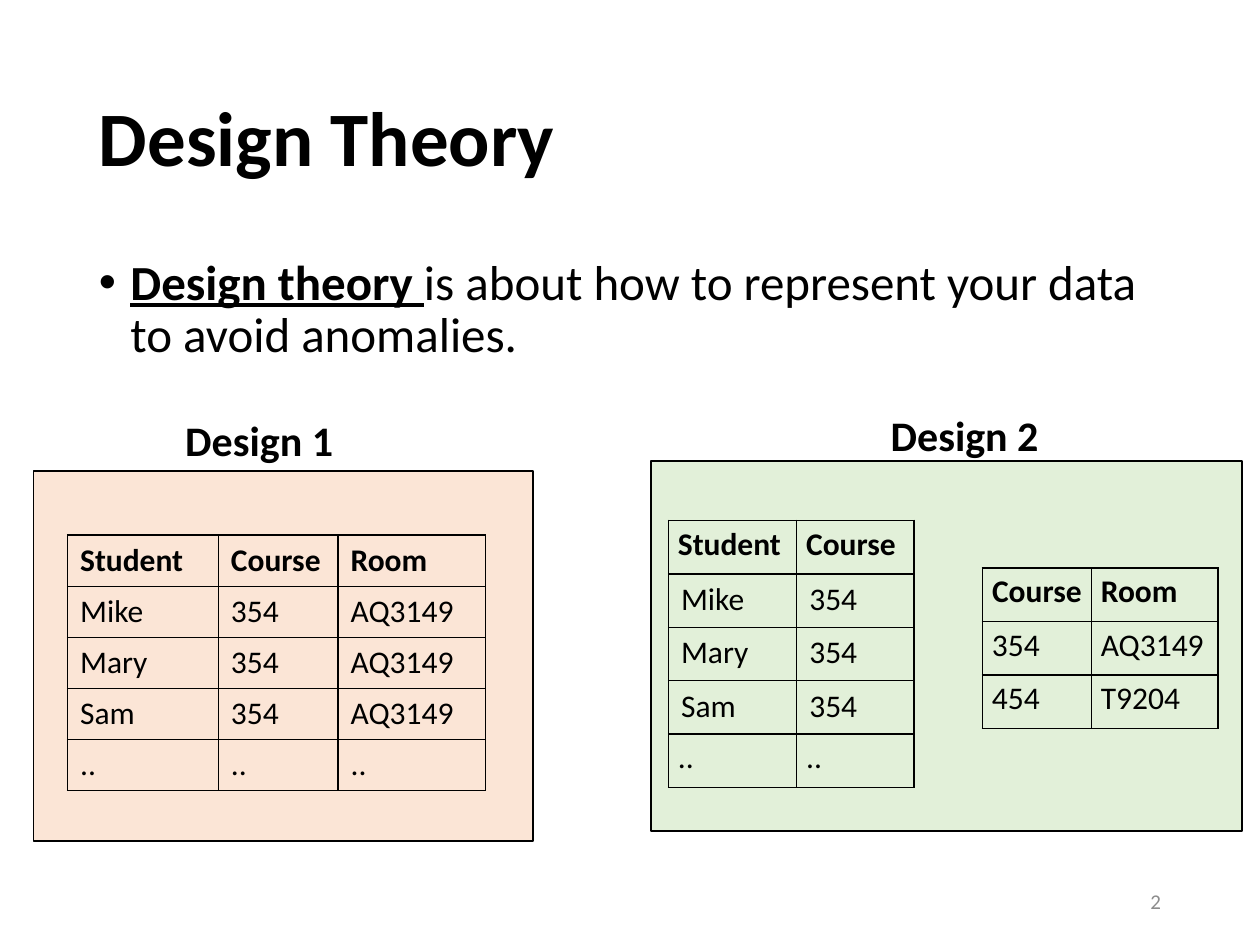
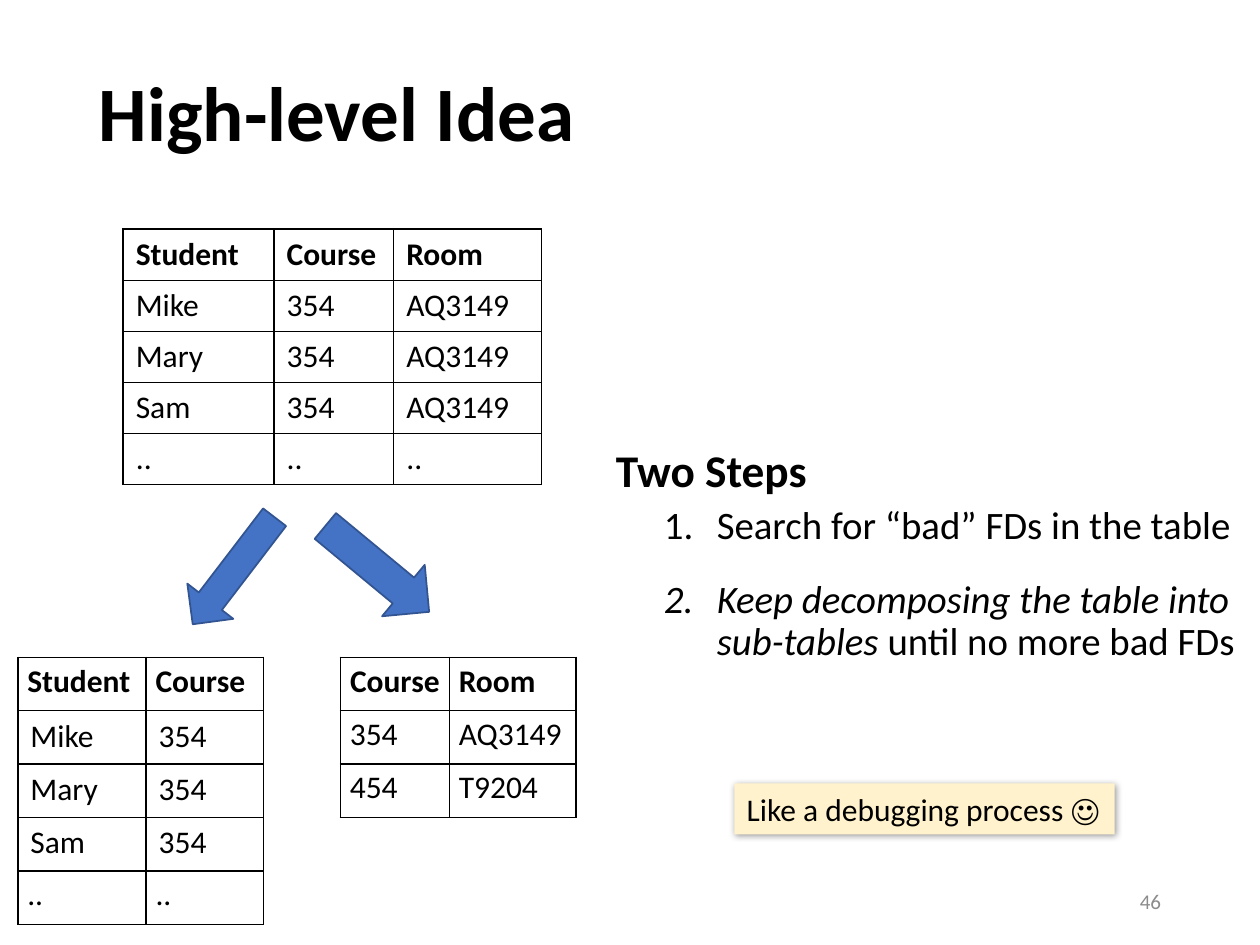
from dataclasses import dataclass, field
from typing import NamedTuple

from lxml import etree
from pptx import Presentation
from pptx.dml.color import RGBColor
from pptx.enum.shapes import MSO_SHAPE
from pptx.enum.text import MSO_ANCHOR, PP_ALIGN
from pptx.oxml import parse_xml
from pptx.oxml.ns import nsdecls, qn
from pptx.util import Pt

RECTANGLE, RIGHT_ARROW = MSO_SHAPE.RECTANGLE, MSO_SHAPE.RIGHT_ARROW
TOP, MIDDLE = MSO_ANCHOR.TOP, MSO_ANCHOR.MIDDLE
LEFT, CENTER, RIGHT = PP_ALIGN.LEFT, PP_ALIGN.CENTER, PP_ALIGN.RIGHT

COLORS = {
    "text": "000000",
    "number": "8C8C8C",
    "design1": "FBE5D6",
    "design2": "E2F0D9",
    "arrow": "4472C4",
    "arrow_edge": "325491",
    "note": "FFF2CC",
}
FONT = "Calibri"
BOLD = {"bold": True}
ITALIC = {"italic": True}
TIGHT_MARGINS = {"margin_left": 5.4, "margin_right": 5.4,
                 "margin_top": 2.7, "margin_bottom": 2.7}


class Box(NamedTuple):
    left: float
    top: float
    width: float
    height: float

    def lengths(self) -> list:
        return [Pt(value) for value in self]


class Span(NamedTuple):
    text: str
    style: dict = {}


@dataclass
class Para:
    spans: list[Span]
    size: float
    color: str = "text"
    align: object = LEFT
    spacing: float = 1.0
    before: float = 0
    level: int = 0
    margin: float = 0
    hanging: float = 0
    bullet: str = ""


@dataclass
class Relation:
    columns: list[float]
    row_height: float
    rows: list[list[str]]
    tight_rows: set[int] = field(default_factory=set)
    centered: set[tuple[int, int]] = field(default_factory=set)


@dataclass
class Block:
    box: Box
    fill: str
    edge: str = ""
    kind: object = RECTANGLE
    rotation: float = 0


# The relation before and after decomposition
FULL = Relation(
    [86.2, 68.4, 84.4], 29.2,
    [["Student", "Course", "Room"]]
    + [[name, "354", "AQ3149"] for name in ("Mike", "Mary", "Sam")]
    + [[".."] * 3])
ENROLMENT = Relation(
    [73.3, 67.1], 30.55,
    [["Student", "Course"]]
    + [[name, "354"] for name in ("Mike", "Mary", "Sam")]
    + [[".."] * 2],
    tight_rows={0, 4})
LOCATION = Relation(
    [62.3, 72.3], 30.55,
    [["Course", "Room"], ["354", "AQ3149"], ["454", "T9204"]],
    tight_rows={0, 1, 2}, centered={(0, 0)})

BULLETS = {
    "dot": ['<a:buFont {} typeface="Arial"/>', '<a:buChar {} char="•"/>'],
    "number": ['<a:buFont {} typeface="Calibri"/>',
               '<a:buAutoNum {} type="arabicPeriod"/>'],
}


def rgb(name: str) -> RGBColor:
    return RGBColor.from_string(COLORS[name])


def write(frame, paras: list[Para]) -> None:
    for index, para in enumerate(paras):
        line = frame.paragraphs[0] if index == 0 else frame.add_paragraph()
        layout = {"alignment": para.align, "line_spacing": para.spacing,
                  "level": para.level, "space_before": Pt(para.before)}
        for name, value in layout.items():
            setattr(line, name, value)
        props = line._p.get_or_add_pPr()
        props.set("marL", str(Pt(para.margin)))
        props.set("indent", str(Pt(-para.hanging)))
        for xml in BULLETS.get(para.bullet, []):
            props.append(parse_xml(xml.format(nsdecls("a"))))
        for span in para.spans:
            run = line.add_run()
            run.text = span.text
            style = {"name": FONT, "size": Pt(para.size), **span.style}
            for name, value in style.items():
                setattr(run.font, name, value)
            run.font.color.rgb = rgb(para.color)


def add_text(slide, box: Box, paras: list[Para], anchor=TOP,
             wrap: bool = True) -> None:
    frame = slide.shapes.add_textbox(*box.lengths()).text_frame
    frame.word_wrap = wrap
    frame.vertical_anchor = anchor
    write(frame, paras)


def add_block(slide, block: Block):
    shape = slide.shapes.add_shape(block.kind, *block.box.lengths())
    shape.shadow.inherit = False
    shape.rotation = block.rotation
    shape.fill.solid()
    shape.fill.fore_color.rgb = rgb(block.fill)
    if block.edge:
        shape.line.color.rgb = rgb(block.edge)
        shape.line.width = Pt(1)
    else:
        shape.line.fill.background()
    return shape


def add_borders(cell) -> None:
    props = cell._tc.get_or_add_tcPr()
    for position, side in enumerate(("lnL", "lnR", "lnT", "lnB")):
        props.insert(position, parse_xml(
            f'<a:{side} {nsdecls("a")} w="{Pt(1)}"><a:solidFill>'
            f'<a:srgbClr val="{COLORS["text"]}"/></a:solidFill></a:{side}>'))


def add_relation(slide, left: float, top: float, relation: Relation) -> None:
    rows, columns = relation.rows, relation.columns
    box = Box(left, top, sum(columns), relation.row_height * len(rows))
    table = slide.shapes.add_table(
        len(rows), len(columns), *box.lengths()).table
    table.first_row = table.horz_banding = False
    for column, width in zip(table.columns, columns):
        column.width = Pt(width)
    for r, values in enumerate(rows):
        table.rows[r].height = Pt(relation.row_height)
        for c, value in enumerate(values):
            cell = table.cell(r, c)
            cell.fill.background()
            add_borders(cell)
            if r in relation.tight_rows:
                for name, margin in TIGHT_MARGINS.items():
                    setattr(cell, name, Pt(margin))
            align = CENTER if (r, c) in relation.centered else LEFT
            span = Span(value, {"bold": r == 0})
            write(cell.text_frame, [Para([span], 18, align=align)])


def add_soft_shadow(shape) -> None:
    effects = shape._element.spPr.find(qn("a:effectLst"))
    shadow = etree.SubElement(
        effects, qn("a:outerShdw"), blurRad=str(Pt(4)), dist=str(Pt(1)),
        dir="2700000", algn="tl", rotWithShape="0")
    color = etree.SubElement(shadow, qn("a:srgbClr"), val=COLORS["text"])
    etree.SubElement(color, qn("a:alpha"), val="40000")


def start_slide(deck, title: str, title_top: float, number: str):
    slide = deck.slides.add_slide(deck.slide_layouts[6])
    add_text(slide, Box(49.5, title_top, 621, 104.4),
             [Para([Span(title, BOLD)], 44, spacing=0.9)], MIDDLE)
    add_text(slide, Box(508.5, 500.5, 162, 28.75),
             [Para([Span(number)], 12, "number", RIGHT)], MIDDLE)
    return slide


def build_design_theory(deck) -> None:
    slide = start_slide(deck, "Design Theory", 28.75, "2")
    add_text(slide, Box(49.5, 143.75, 621, 342.6), [Para(
        [Span("Design theory ", {"bold": True, "underline": True}),
         Span("is about how to represent your data to avoid anomalies.")],
        28, spacing=0.9, margin=18, hanging=18, bullet="dot")])

    # Panels of the two designs
    for panel in (Block(Box(372.2, 263.5, 337.7, 211.2), "design2", "text"),
                  Block(Box(19.2, 269.2, 285.4, 211.2), "design1", "text")):
        add_block(slide, panel)
    add_relation(slide, 38.6, 305.8, FULL)
    add_relation(slide, 382, 297.4, ENROLMENT)
    add_relation(slide, 561.4, 324.6, LOCATION)
    for label, left, top in (("Design 1", 98.8, 233.3),
                             ("Design 2", 501.9, 230.5)):
        add_text(slide, Box(left, top, 100, 36),
                 [Para([Span(label, BOLD)], 24)], wrap=False)


def build_high_level_idea(deck) -> None:
    slide = start_slide(deck, "High-level Idea", 14.2, "46")

    # Steps
    step = {"size": 22.2, "spacing": 0.9, "level": 1, "margin": 57.6,
            "hanging": 30.2, "bullet": "number"}
    add_text(slide, Box(344.9, 252.7, 375.1, 144.7), [
        Para([Span("Two Steps", BOLD)], 25.9, spacing=0.9,
             margin=18, hanging=18),
        Para([Span("Search for “bad” FDs in the table")], before=5, **step),
        Para([Span("Keep decomposing the table into sub-tables", ITALIC),
              Span(" until no more bad FDs")], before=18, **step),
    ])

    # Decomposition
    add_relation(slide, 70.4, 131, FULL)
    add_relation(slide, 10.2, 375.6, ENROLMENT)
    add_relation(slide, 194.5, 375.6, LOCATION)
    for box, rotation in ((Box(95, 309.6, 77, 33.1), 127.4),
                          (Box(177.1, 306, 77, 38.2), 39.6)):
        add_block(slide, Block(box, "arrow", "arrow_edge",
                               RIGHT_ARROW, rotation))

    # Note
    note = add_block(slide, Block(Box(419.6, 447.7, 217.4, 29.1), "note"))
    add_soft_shadow(note)
    note.text_frame.word_wrap = False
    note.text_frame.vertical_anchor = TOP
    write(note.text_frame, [Para([Span("Like a debugging process ☺")], 18)])


def main() -> None:
    deck = Presentation()
    deck.slide_width, deck.slide_height = Pt(720), Pt(540)
    build_design_theory(deck)
    build_high_level_idea(deck)
    deck.save("out.pptx")


if __name__ == "__main__":
    main()
